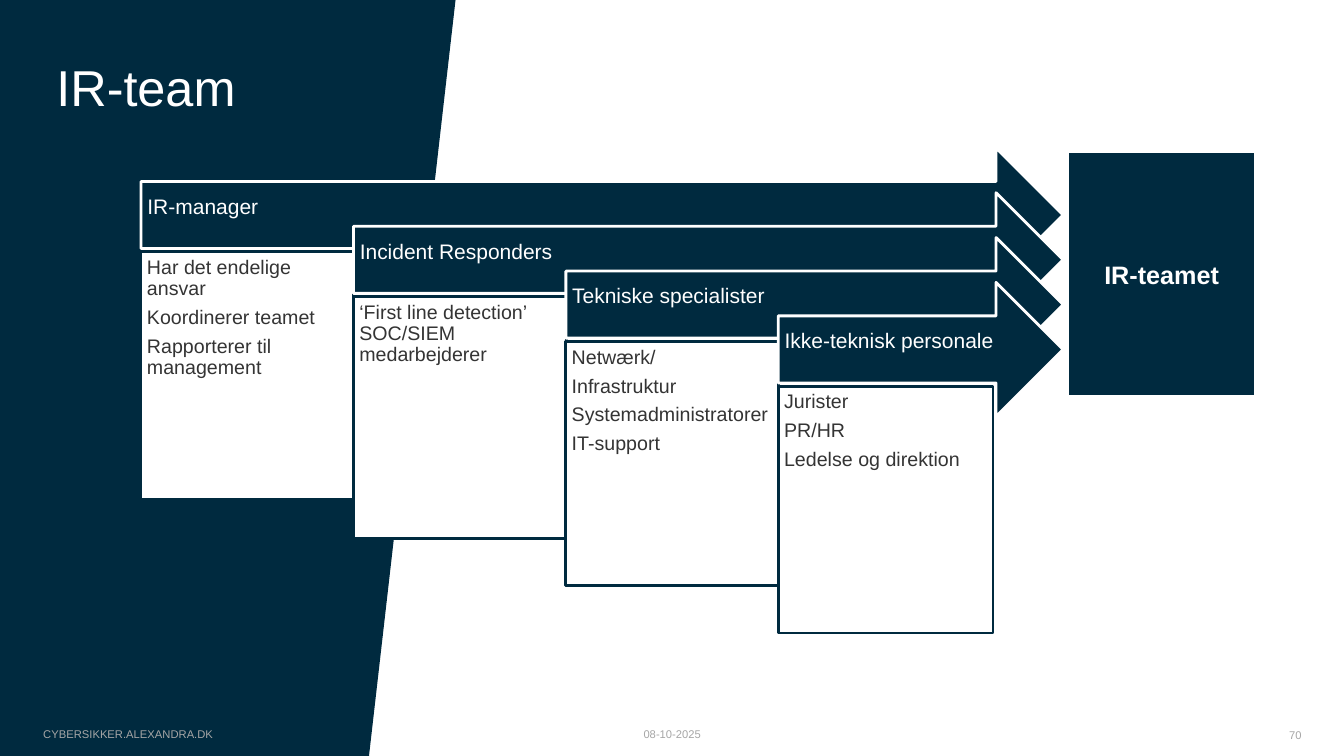
from dataclasses import dataclass

from pptx import Presentation
from pptx.dml.color import RGBColor
from pptx.enum.shapes import MSO_SHAPE
from pptx.enum.text import MSO_ANCHOR, PP_ALIGN
from pptx.shapes.autoshape import Shape
from pptx.slide import Slide
from pptx.text.text import TextFrame
from pptx.util import Pt

RECTANGLE, RIGHT_ARROW = MSO_SHAPE.RECTANGLE, MSO_SHAPE.RIGHT_ARROW
TOP, MIDDLE = MSO_ANCHOR.TOP, MSO_ANCHOR.MIDDLE
LEFT, CENTER, RIGHT = PP_ALIGN.LEFT, PP_ALIGN.CENTER, PP_ALIGN.RIGHT

COLORS = {"navy": "002A3F", "white": "FFFFFF", "body": "343434", "footer": "A6A6A6"}
FONT = "Arial"
SLIDE_WIDTH, SLIDE_HEIGHT = 960, 540

FIRST_LEFT, FIRST_TOP = 100.8, 105.7
STEP_X, STEP_Y = 151.7, 32
ARROW_RIGHT, ARROW_HEIGHT = 759.4, 95.8
DUTIES_OFFSET = 74.1  # from the top of an arrow to the top of its duties


@dataclass(frozen=True)
class Box:
    left: float
    top: float
    width: float
    height: float


@dataclass(frozen=True)
class TextStyle:
    size: float
    color: str
    bold: bool = False
    align: PP_ALIGN = LEFT
    anchor: MSO_ANCHOR = TOP
    insets: tuple[float, float, float, float] = (7.2, 3.6, 7.2, 3.6)
    line_spacing: float = 1.0
    space_after: float = 0


@dataclass(frozen=True)
class Role:
    name: str
    duties: tuple[str, ...]
    duties_width: float
    duties_height: float


@dataclass(frozen=True)
class Caption:
    text: str
    box: Box
    style: TextStyle


ROLE_STYLE = TextStyle(15, "white", anchor=MIDDLE, insets=(4.5, 4.5, 20, 15.2),
                       line_spacing=0.9, space_after=5.5)
DUTIES_STYLE = TextStyle(14, "body", insets=(4.2, 4.2, 4.2, 4.2),
                         line_spacing=0.9, space_after=5.5)
TEAM_STYLE = TextStyle(18, "white", bold=True, align=CENTER, anchor=MIDDLE)

ROLES = (
    Role("IR-manager",
         ("Har det endelige ansvar", "Koordinerer teamet", "Rapporterer til management"),
         152, 177.1),
    Role("Incident Responders",
         ("‘First line detection’ SOC/SIEM medarbejderer",), 152, 172.8),
    Role("Tekniske specialister",
         ("Netwærk/", "Infrastruktur", "Systemadministratorer", "IT-support"),
         152, 174.2),
    Role("Ikke-teknisk personale",
         ("Jurister", "PR/HR", "Ledelse og direktion"), 153.4, 176.4),
)

CAPTIONS = (
    Caption("IR-team", Box(40.3, 40.3, 214.6, 43.9),
            TextStyle(36, "white", insets=(0, 0, 0, 0))),
    Caption("08-10-2025", Box(366.5, 516.2, 227.5, 14.4),
            TextStyle(8, "footer", align=CENTER)),
    Caption("CYBERSIKKER.ALEXANDRA.DK", Box(23.8, 516.2, 247, 14.4),
            TextStyle(8, "footer")),
    Caption("70", Box(783.4, 517, 153.4, 17.3), TextStyle(8, "footer", align=RIGHT)),
)


def rgb(name: str) -> RGBColor:
    return RGBColor.from_string(COLORS[name])


def write(frame: TextFrame, paragraphs: tuple[str, ...], style: TextStyle) -> None:
    frame.word_wrap = True
    frame.vertical_anchor = style.anchor
    (frame.margin_left, frame.margin_top,
     frame.margin_right, frame.margin_bottom) = map(Pt, style.insets)
    for index, text in enumerate(paragraphs):
        paragraph = frame.add_paragraph() if index else frame.paragraphs[0]
        paragraph.alignment = style.align
        paragraph.line_spacing = style.line_spacing
        paragraph.space_after = Pt(style.space_after)
        run = paragraph.add_run()
        run.text = text
        run.font.name = FONT
        run.font.size = Pt(style.size)
        run.font.bold = style.bold
        run.font.color.rgb = rgb(style.color)


def add_panel(slide: Slide, kind: MSO_SHAPE, box: Box, fill: str, line: str,
              paragraphs: tuple[str, ...], style: TextStyle) -> Shape:
    """Add a filled, outlined preset shape that holds its own text."""
    panel = slide.shapes.add_shape(
        kind, Pt(box.left), Pt(box.top), Pt(box.width), Pt(box.height))
    panel.shadow.inherit = False
    panel.fill.solid()
    panel.fill.fore_color.rgb = rgb(fill)
    panel.line.color.rgb = rgb(line)
    panel.line.width = Pt(2)
    write(panel.text_frame, paragraphs, style)
    return panel


def add_backdrop(slide: Slide) -> None:
    outline = slide.shapes.build_freeform(Pt(0), Pt(0))
    outline.add_line_segments(
        [(Pt(325.4), Pt(0)), (Pt(263.6), Pt(SLIDE_HEIGHT)), (Pt(0), Pt(SLIDE_HEIGHT))])
    backdrop = outline.convert_to_shape()
    backdrop.shadow.inherit = False
    backdrop.fill.solid()
    backdrop.fill.fore_color.rgb = rgb("navy")
    backdrop.line.fill.background()


def add_caption(slide: Slide, caption: Caption) -> None:
    box = caption.box
    textbox = slide.shapes.add_textbox(
        Pt(box.left), Pt(box.top), Pt(box.width), Pt(box.height))
    write(textbox.text_frame, (caption.text,), caption.style)


def add_role(slide: Slide, role: Role, index: int) -> None:
    left = FIRST_LEFT + index * STEP_X
    top = FIRST_TOP + index * STEP_Y
    add_panel(slide, RIGHT_ARROW, Box(left, top, ARROW_RIGHT - left, ARROW_HEIGHT),
              "navy", "white", (role.name,), ROLE_STYLE)
    add_panel(slide, RECTANGLE,
              Box(left, top + DUTIES_OFFSET, role.duties_width, role.duties_height),
              "white", "navy", role.duties, DUTIES_STYLE)


def main() -> None:
    presentation = Presentation()
    presentation.slide_width = Pt(SLIDE_WIDTH)
    presentation.slide_height = Pt(SLIDE_HEIGHT)
    slide = presentation.slides.add_slide(presentation.slide_layouts[6])

    add_backdrop(slide)
    add_panel(slide, RECTANGLE, Box(762.5, 108.3, 134.6, 174.9),
              "navy", "white", ("IR-teamet",), TEAM_STYLE)
    for caption in CAPTIONS:
        add_caption(slide, caption)
    for index, role in enumerate(ROLES):
        add_role(slide, role, index)

    presentation.save("out.pptx")


if __name__ == "__main__":
    main()
